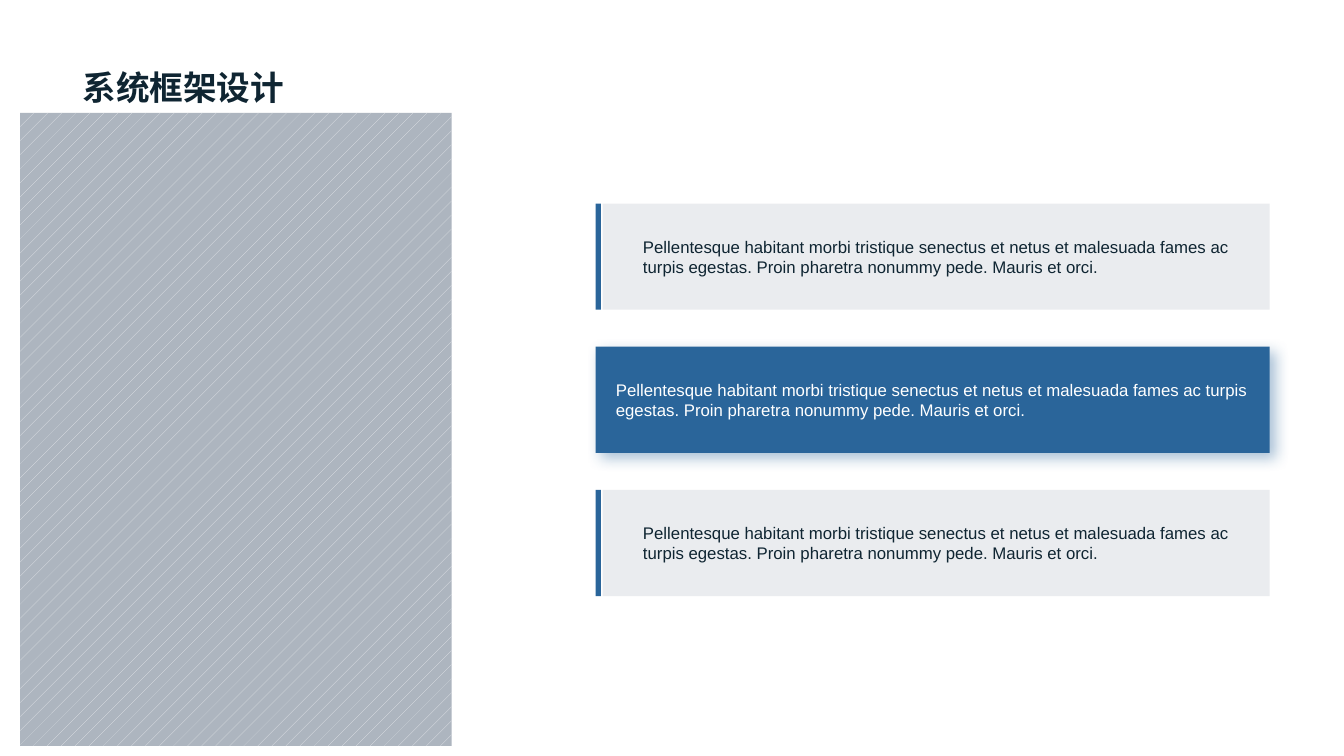
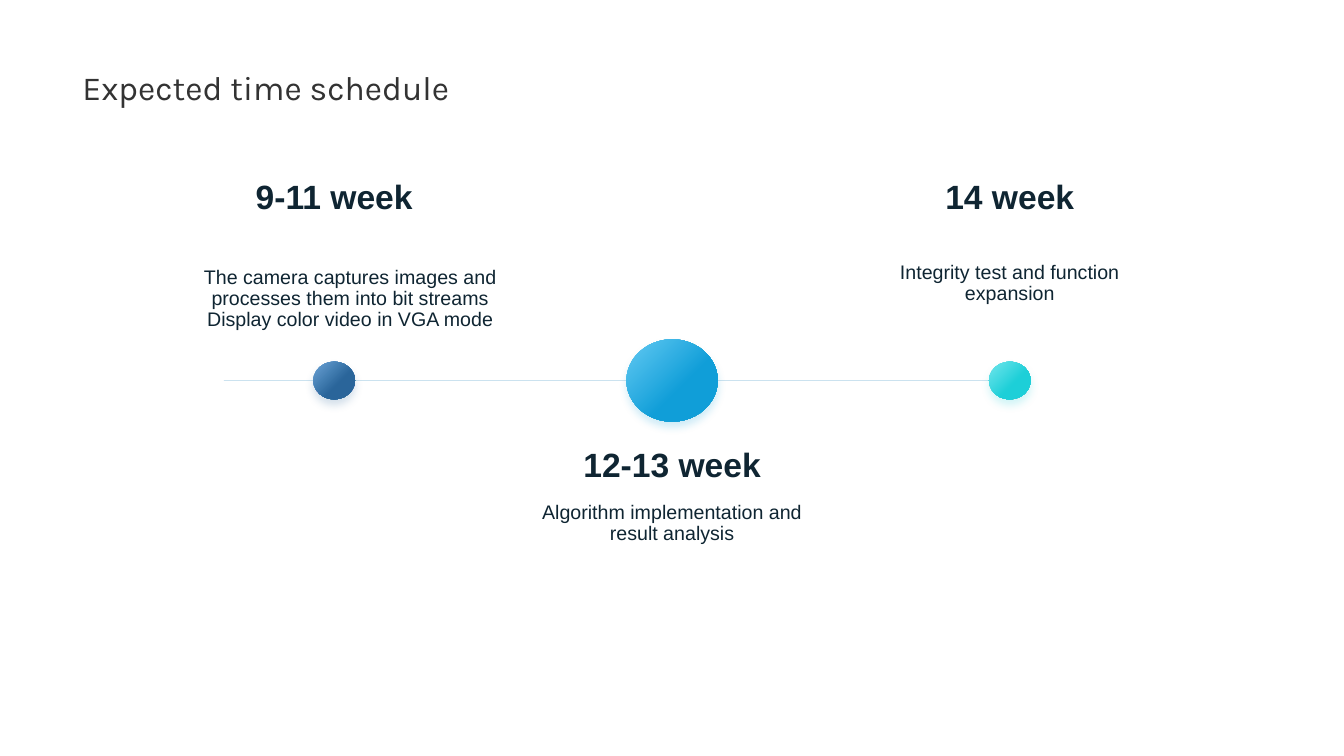
"""Build a framework slide and a schedule slide that share one title style."""
import dataclasses
import typing

import lxml.etree
import pptx
import pptx.dml.color
import pptx.enum.dml
import pptx.enum.shapes
import pptx.enum.text
import pptx.oxml.ns
import pptx.presentation
import pptx.shapes.autoshape
import pptx.slide
import pptx.util

Pt = pptx.util.Pt
qn = pptx.oxml.ns.qn
SHAPE = pptx.enum.shapes.MSO_SHAPE
ALIGN = pptx.enum.text.PP_ALIGN
ANCHOR = pptx.enum.text.MSO_ANCHOR
Shape = pptx.shapes.autoshape.Shape
Slide = pptx.slide.Slide

COLORS = {
    "ink": "0F2532",
    "charcoal": "333333",
    "white": "FFFFFF",
    "blue": "2A659A",
    "blue_light": "6BA4D7",
    "sky": "109ED8",
    "sky_light": "64CAF3",
    "teal": "1DCFD8",
    "teal_light": "73E6EC",
    "slate": "778495",
    "panel": "ADB5BF",
    "panel_dots": "E4E6EA",
    "line": "549FCC",
}

CARD_TEXT = (
    "Pellentesque habitant morbi tristique senectus et netus et malesuada fames ac "
    "turpis egestas. Proin pharetra nonummy pede. Mauris et orci."
)
CARD_LEFT, CARD_TOP, CARD_RIGHT = 425.5, 145.4, 907
CARD_HEIGHT, CARD_PITCH = 75.8, 102.3
ACCENT_WIDTH, CARD_INDENT = 3.8, 5
AXIS_Y = 271.8
LABEL_WIDTH = 230.4


class Box(typing.NamedTuple):
    left: float
    top: float
    width: float
    height: float


class Shadow(typing.NamedTuple):
    color: str
    alpha: int
    blur: float
    distance: float
    angle: int


@dataclasses.dataclass(frozen=True)
class Milestone:
    center: float
    width: float
    height: float
    color: str
    week: str
    week_top: float
    detail: str
    detail_top: float
    detail_shift: float = 0


MILESTONES = (
    Milestone(238.7, 29.8, 27, "blue", "9-11 week", 122.4,
              "The camera captures images and processes them into bit streams\n"
              "Display color video in VGA mode", 187.2, 11.5),
    Milestone(721.3, 29.8, 27, "teal", "14 week", 122.4,
              "Integrity test and function expansion", 183.6),
    Milestone(480.1, 65.2, 58.8, "sky", "12-13 week", 313.2,
              "Algorithm implementation and result analysis", 355.7),
)


def rgb(name: str) -> pptx.dml.color.RGBColor:
    """Return the named colour."""
    return pptx.dml.color.RGBColor.from_string(COLORS[name])


def lengths(box: Box) -> list[pptx.util.Length]:
    """Return the four measures of a box as lengths."""
    return [Pt(value) for value in box]


def set_alpha(parent: typing.Any, percent: int) -> None:
    """Make the first colour under an element partly transparent."""
    color = next(parent.iter(qn("a:srgbClr")))
    lxml.etree.SubElement(color, qn("a:alpha"), val=str(percent * 1000))


def add_shadow(sp: Shape, shadow: Shadow) -> None:
    """Give a shape an outer shadow."""
    effects = sp.element.spPr.find(qn("a:effectLst"))
    outer = lxml.etree.SubElement(
        effects, qn("a:outerShdw"), blurRad=str(Pt(shadow.blur)),
        dist=str(Pt(shadow.distance)), dir=str(shadow.angle * 60000),
        algn="ctr", rotWithShape="0")
    lxml.etree.SubElement(outer, qn("a:srgbClr"), val=COLORS[shadow.color])
    set_alpha(outer, shadow.alpha)


def add_shape(s: Slide, box: Box, fill: str, *, kind: SHAPE = SHAPE.RECTANGLE,
              alpha: int | None = None, shadow: Shadow | None = None) -> Shape:
    """Add a filled shape without an outline."""
    sp = s.shapes.add_shape(kind, *lengths(box))
    sp.shadow.inherit = False
    sp.line.fill.background()
    sp.fill.solid()
    sp.fill.fore_color.rgb = rgb(fill)
    if alpha is not None:
        set_alpha(sp.element.spPr, alpha)
    if shadow:
        add_shadow(sp, shadow)
    return sp


def write(sp: Shape, text: str, *, size: float, color: str = "ink", font: str = "Arial",
          bold: bool = False, align: ALIGN = ALIGN.LEFT, anchor: ANCHOR = ANCHOR.TOP,
          spacing: float | pptx.util.Length | None = None,
          inset_left: float = 7.2, inset_right: float = 7.2) -> None:
    """Write one paragraph per line of text into a shape."""
    tf = sp.text_frame
    tf.word_wrap = True
    tf.vertical_anchor = anchor
    tf.margin_left, tf.margin_right = Pt(inset_left), Pt(inset_right)
    for i, line in enumerate(text.split("\n")):
        p = tf.add_paragraph() if i else tf.paragraphs[0]
        p.alignment = align
        p.line_spacing = spacing
        r = p.add_run()
        r.text = line
        r.font.name, r.font.size, r.font.bold = font, Pt(size), bold
        r.font.color.rgb = rgb(color)


def add_text(s: Slide, box: Box, text: str, **style: typing.Any) -> None:
    """Add a text box."""
    write(s.shapes.add_textbox(*lengths(box)), text, **style)


def add_titled_slide(prs: pptx.presentation.Presentation, title: str,
                     **style: typing.Any) -> Slide:
    """Add a blank slide with the shared title."""
    s = prs.slides.add_slide(prs.slide_layouts[6])
    add_text(s, Box(51.8, 0, 855.4, 80.6), title, size=24, spacing=0.9,
             anchor=ANCHOR.BOTTOM, **style)
    return s


def add_card(s: Slide, top: float, highlighted: bool) -> None:
    """Add a text card, either highlighted or pale with an accent bar."""
    left = CARD_LEFT if highlighted else CARD_LEFT + CARD_INDENT
    box = Box(left, top, CARD_RIGHT - left, CARD_HEIGHT)
    if highlighted:
        sp = add_shape(s, box, "blue", shadow=Shadow("blue", 40, 10, 5, 45))
    else:
        sp = add_shape(s, box, "slate", alpha=15)
        add_shape(s, Box(CARD_LEFT, top, ACCENT_WIDTH, CARD_HEIGHT), "blue")
    write(sp, CARD_TEXT, size=12, color="white" if highlighted else "ink",
          anchor=ANCHOR.MIDDLE, inset_left=14.4 if highlighted else 28.8,
          inset_right=14.4)


def add_milestone(s: Slide, item: Milestone) -> None:
    """Add a gradient dot with its week and detail."""
    dot = Box(item.center - item.width / 2, AXIS_Y - item.height / 2,
              item.width, item.height)
    sp = add_shape(s, dot, item.color, kind=SHAPE.OVAL,
                   shadow=Shadow(item.color, 20, 6, 4, 90))
    sp.fill.gradient()
    sp.fill.gradient_angle = 315
    shades = ((0, f"{item.color}_light"), (0.6, item.color))
    for stop, (position, color) in zip(sp.fill.gradient_stops, shades):
        stop.position = position
        stop.color.rgb = rgb(color)
    left = item.center - LABEL_WIDTH / 2
    add_text(s, Box(left + item.detail_shift, item.detail_top, LABEL_WIDTH, 37.4),
             item.detail, size=14, align=ALIGN.CENTER, spacing=Pt(15))
    add_text(s, Box(left, item.week_top, LABEL_WIDTH, 36), item.week,
             size=24, bold=True, align=ALIGN.CENTER)


def add_axis(s: Slide) -> None:
    """Add the pale timeline axis."""
    line = s.shapes.add_connector(pptx.enum.shapes.MSO_CONNECTOR.STRAIGHT,
                                  Pt(160), Pt(AXIS_Y), Pt(736), Pt(AXIS_Y))
    line.line.width = Pt(0.5)
    line.line.color.rgb = rgb("line")
    set_alpha(line.element.spPr, 30)
    lxml.etree.SubElement(line.element.spPr, qn("a:effectLst"))


def build_framework(prs: pptx.presentation.Presentation) -> None:
    """Build the framework slide."""
    s = add_titled_slide(prs, "系统框架设计", bold=True)
    panel = add_shape(s, Box(14.4, 80.6, 308.2, 452.2), "panel")
    panel.fill.patterned()
    panel.fill.pattern = pptx.enum.dml.MSO_PATTERN.PERCENT_5
    panel.fill.fore_color.rgb = rgb("panel_dots")
    panel.fill.back_color.rgb = rgb("panel")
    for i in range(3):
        add_card(s, CARD_TOP + i * CARD_PITCH, highlighted=i == 1)


def build_schedule(prs: pptx.presentation.Presentation) -> None:
    """Build the schedule slide."""
    s = add_titled_slide(prs, "Expected time schedule", font="Karla", color="charcoal")
    add_axis(s)
    for item in MILESTONES:
        add_milestone(s, item)


def main() -> None:
    """Build and save the presentation."""
    prs = pptx.Presentation()
    prs.slide_width, prs.slide_height = Pt(960), Pt(540)
    build_framework(prs)
    build_schedule(prs)
    prs.save("out.pptx")


if __name__ == "__main__":
    main()
